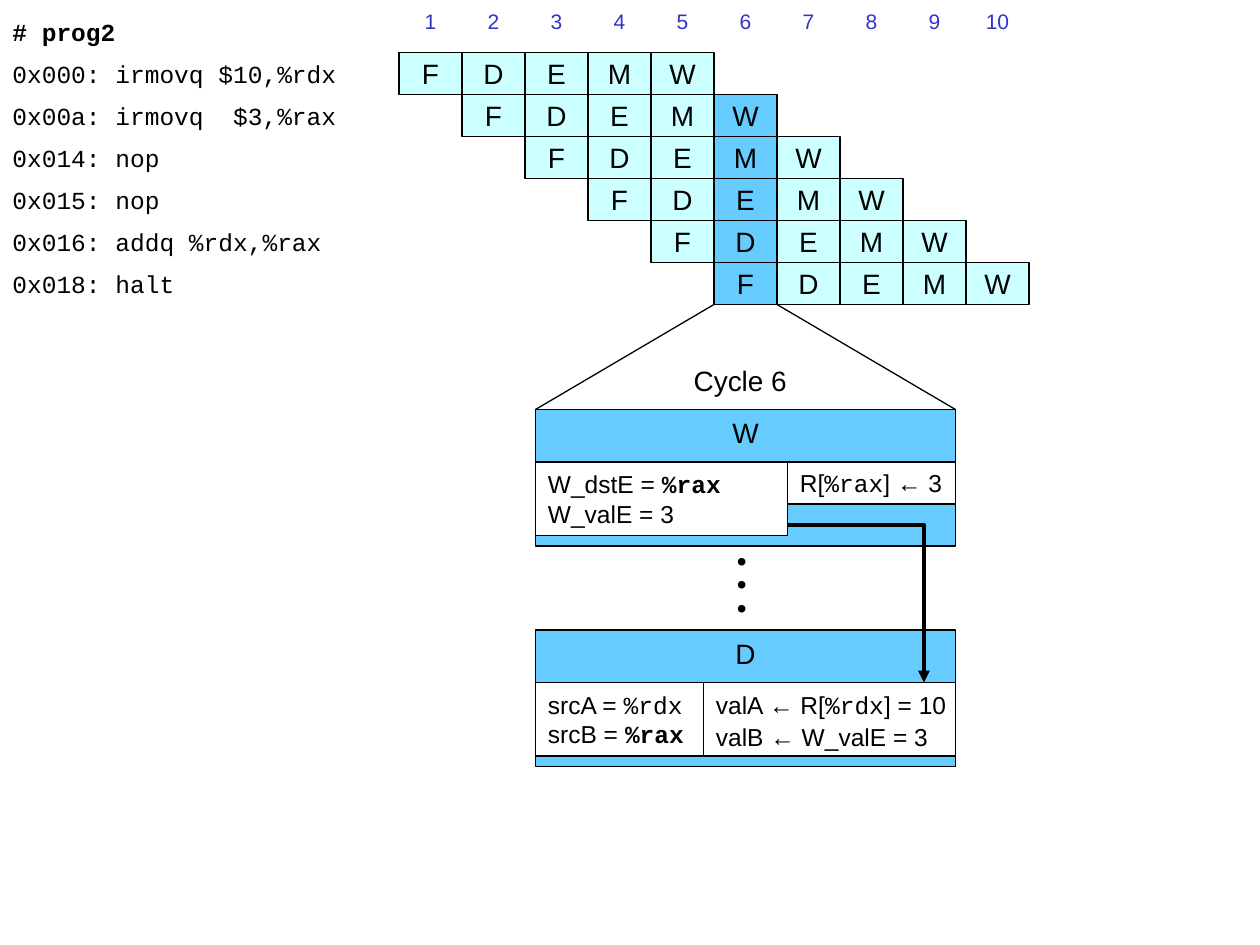
from pptx import Presentation
from pptx.dml.color import RGBColor
from pptx.enum.shapes import MSO_CONNECTOR, MSO_SHAPE
from pptx.enum.text import MSO_ANCHOR, MSO_AUTO_SIZE, PP_ALIGN
from pptx.oxml.ns import qn
from pptx.oxml.xmlchemy import OxmlElement
from pptx.util import Cm, Pt

COLORS = {
    "black": "000000",
    "white": "FFFFFF",
    "cycle": "3333CC",
    "stage": "CCFFFF",
    "active": "66CCFF",
}
SANS, MONO = "Arial", "Courier New"
UNIT = Cm(2.54) // 12  # all positions below are counted in this grid unit
CELL_W, CELL_H = 6, 4
STAGES = "FDEMW"
ACTIVE_CYCLE = 6
PROGRAM = [
    "0x000: irmovq $10,%rdx",
    "0x00a: irmovq  $3,%rax",
    "0x014: nop",
    "0x015: nop",
    "0x016: addq %rdx,%rax",
    "0x018: halt",
]


def rgb(name):
    return RGBColor.from_string(COLORS[name])


def grid(*values):
    return [round(v * UNIT) for v in values]


def write(shape, lines, size, color="black", align=PP_ALIGN.LEFT,
          anchor=MSO_ANCHOR.MIDDLE, spacing=None, wrap=False):
    """Fill a shape with lines, each a list of (text, font, bold) runs."""
    tf = shape.text_frame
    tf.word_wrap = wrap
    tf.vertical_anchor = anchor
    for i, runs in enumerate(lines):
        p = tf.paragraphs[0] if i == 0 else tf.add_paragraph()
        p.alignment = align
        p.line_spacing = spacing
        for text, font, bold in runs:
            r = p.add_run()
            r.text = text
            r.font.name = font
            r.font.size = Pt(size)
            r.font.bold = bold
            r.font.color.rgb = rgb(color)


def add_box(shapes, box, fill, lines, size, line_width=None, **style):
    sp = shapes.add_shape(MSO_SHAPE.RECTANGLE, *grid(*box))
    sp.shadow.inherit = False
    sp.fill.solid()
    sp.fill.fore_color.rgb = rgb(fill)
    if line_width:
        sp.line.color.rgb = rgb("black")
        sp.line.width = Pt(line_width)
    else:
        sp.line.fill.background()
    write(sp, lines, size, **style)


def add_label(shapes, box, lines, **style):
    tb = shapes.add_textbox(*grid(*box))
    tb.text_frame.auto_size = MSO_AUTO_SIZE.SHAPE_TO_FIT_TEXT
    write(tb, lines, 16, anchor=MSO_ANCHOR.TOP, **style)


def add_line(shapes, *ends):
    cn = shapes.add_connector(MSO_CONNECTOR.STRAIGHT, *grid(*ends))
    cn.line.color.rgb = rgb("black")
    cn.line.width = Pt(0.75)
    cn.element.spPr.append(OxmlElement("a:effectLst"))


def add_listing(shapes, x, y, w):
    rows = [("# prog2", True)] + [(code, False) for code in PROGRAM]
    for i, (code, bold) in enumerate(rows):
        add_box(shapes, (x, y + i * CELL_H, w, CELL_H), "white",
                [[(code, MONO, bold)]], 14)


def add_pipeline(shapes, x, y):
    """Cycle numbers above one staggered row of stages per instruction."""
    for i in range(len(PROGRAM) + len(STAGES) - 1):
        add_box(shapes, (x + i * CELL_W, y, CELL_W, CELL_H), "white",
                [[(str(i + 1), SANS, False)]], 12,
                color="cycle", align=PP_ALIGN.CENTER)
    for row in range(len(PROGRAM)):
        group = shapes.add_group_shape()
        for col, stage in enumerate(STAGES, start=row):
            fill = "active" if col + 1 == ACTIVE_CYCLE else "stage"
            box = (x + col * CELL_W, y + 5 + row * CELL_H, CELL_W, CELL_H)
            add_box(group.shapes, box, fill, [[(stage, SANS, False)]], 16,
                    line_width=1, align=PP_ALIGN.CENTER)


def add_stage_detail(shapes, x, y, stage, panels):
    """Stage block with white panels: (left offset, width, height, lines, spacing)."""
    add_box(shapes, (x, y, 40, 13), "active", [[(stage, SANS, False)]], 16,
            line_width=0.75, align=PP_ALIGN.CENTER, anchor=MSO_ANCHOR.TOP)
    for dx, w, h, lines, spacing in panels:
        add_box(shapes, (x + dx, y + 5, w, h), "white", lines, 14,
                line_width=1, spacing=spacing)


def add_forwarding_arrow(shapes, x, y, w, h):
    start, *rest = [tuple(grid(*pt)) for pt in ((x, y), (x + w, y), (x + w, y + h))]
    builder = shapes.build_freeform(*start)
    builder.add_line_segments(rest, close=False)
    sp = builder.convert_to_shape()
    sp.shadow.inherit = False
    sp.fill.background()
    sp.line.color.rgb = rgb("black")
    sp.line.width = Pt(2.25)
    tail = OxmlElement("a:tailEnd")
    tail.set("type", "triangle")
    sp.element.spPr.find(qn("a:ln")).append(tail)


def add_cycle_detail(shapes, x, y):
    """Write-back and decode stages of the active cycle, with forwarding."""
    add_label(shapes, (x + 7, y - 5, 25, 4.4), [[("Cycle 6", SANS, False)]],
              align=PP_ALIGN.CENTER, wrap=True)
    add_stage_detail(shapes, x, y, "W", [
        (24, 16, 4, [[("R[", SANS, False), ("%rax", MONO, False),
                      ("] ← 3", SANS, False)]], None),
        (0, 24, 7, [[("W_dstE = ", SANS, False), ("%rax", MONO, True)],
                    [("W_valE = 3", SANS, False)]], None),
    ])
    add_stage_detail(shapes, x, y + 21, "D", [
        (16, 24, 7, [[("valA ← R[", SANS, False), ("%rdx", MONO, False),
                      ("] = 10", SANS, False)],
                     [("valB ← W_valE = 3", SANS, False)]], 1.1),
        (0, 16, 7, [[("srcA = ", SANS, False), ("%rdx", MONO, False)],
                    [("srcB = ", SANS, False), ("%rax", MONO, True)]], None),
    ])
    add_label(shapes, (x + 18, y + 13, 3.4, 8), [[("•", SANS, False)]] * 3,
              spacing=0.7)
    add_forwarding_arrow(shapes, x + 24, y + 11, 13, 15)


def main():
    prs = Presentation()
    prs.slide_width, prs.slide_height = Cm(25.4), Cm(19.05)
    s = prs.slides.add_slide(prs.slide_layouts[6])
    add_listing(s.shapes, 0, 1, 34)
    add_pipeline(s.shapes, 38, 0)
    add_line(s.shapes, 68, 29, 51, 39)
    add_line(s.shapes, 74, 29, 91, 39)
    add_cycle_detail(s.shapes, 51, 39)
    prs.save("out.pptx")


if __name__ == "__main__":
    main()
